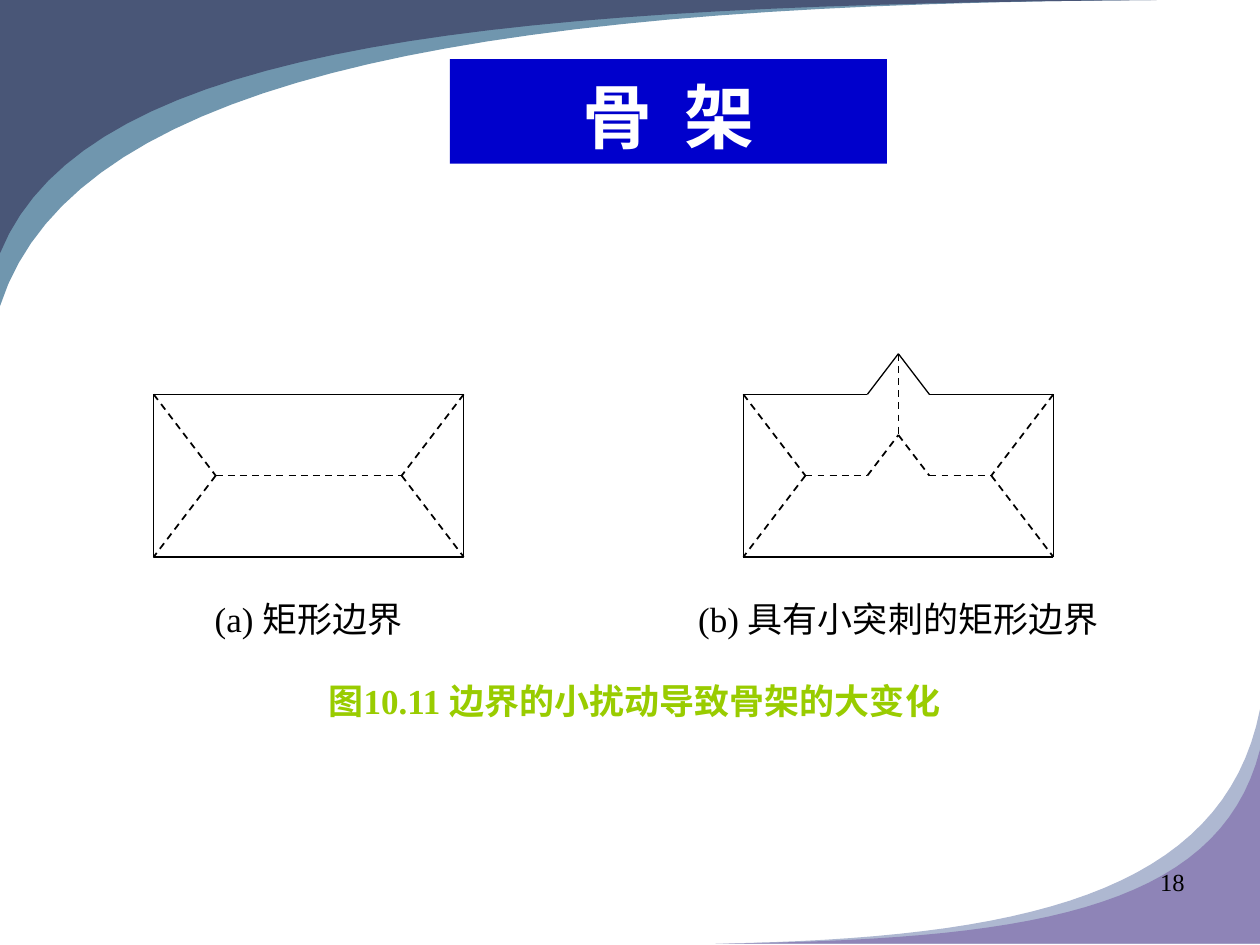
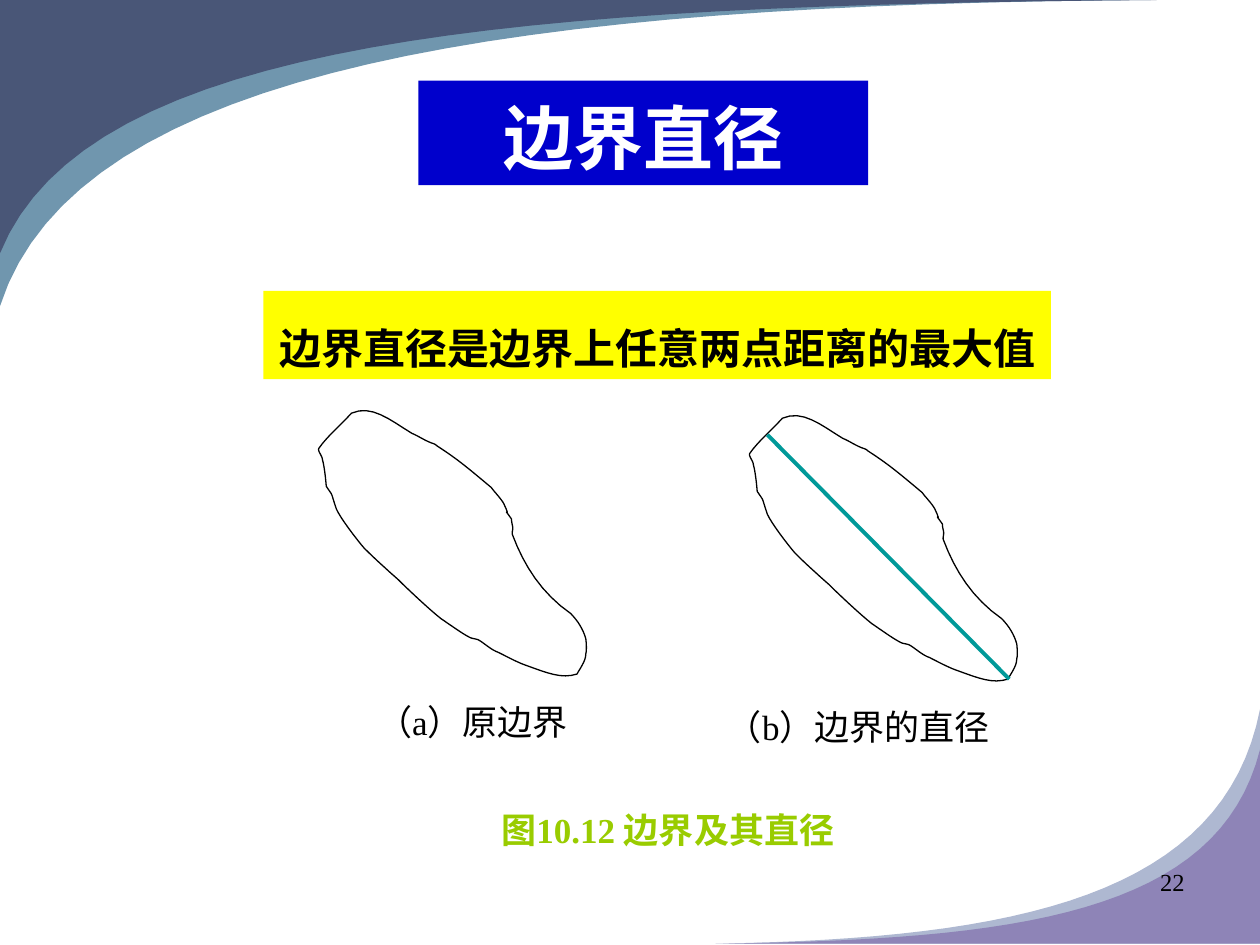
from lxml import etree
from pptx import Presentation
from pptx.dml.color import RGBColor
from pptx.enum import dml, shapes, text
from pptx.oxml.ns import qn
from pptx.util import Inches, Pt

SERIF, SANS, CJK = "Times New Roman", "Karla", "Noto Sans CJK SC"
BLACK, WHITE, BLUE, YELLOW = "000000", "FFFFFF", "0000CC", "FFFF00"
LIME, TEAL = "99CC00", "009999"
LEFT, MID, RIGHT = text.PP_ALIGN.LEFT, text.PP_ALIGN.CENTER, text.PP_ALIGN.RIGHT

SWEEPS = [
    ("7096AE", (0, 0), [(0, 2.43), (0.61, 0.52), (4.12, 0.03), (9.18, 0)]),
    ("495677", (0, 0), [(0, 2.01), (0.69, 0.3), (4.09, 0.04), (9.18, 0)]),
    ("AEB8D1", (10, 7.49), [(10, 5.63), (9.71, 7.11), (8.08, 7.45), (5.68, 7.49)]),
    ("8E84B7", (10, 7.49), [(10, 5.95), (9.67, 7.26), (8.07, 7.46), (5.68, 7.49)]),
]

BLOB = [
    (4.53, 4.87), (4.3, 4.71), (4.16, 4.49), (4.07, 4.25),
    (4.06, 4.23), (4.07, 4.22), (4.07, 4.19), (4.07, 4.17), (4.06, 4.15), (4.06, 4.12),
    (3.97, 3.99), (4.07, 4.15), (4, 4), (3.98, 3.96), (3.92, 3.9), (3.9, 3.87),
    (3.72, 3.72), (3.64, 3.65), (3.47, 3.54), (3.45, 3.52), (3.43, 3.52), (3.41, 3.51),
    (3.36, 3.49), (3.32, 3.46), (3.27, 3.44), (3.09, 3.33), (2.95, 3.21), (2.79, 3.28),
    (2.7, 3.38), (2.6, 3.46), (2.53, 3.56), (2.52, 3.58), (2.56, 3.62), (2.56, 3.65),
    (2.58, 3.72), (2.59, 3.86), (2.59, 3.86), (2.65, 3.95), (2.62, 3.89), (2.67, 4.04),
    (2.7, 4.11), (2.83, 4.28), (2.89, 4.35), (2.98, 4.44), (3.07, 4.52), (3.16, 4.6),
    (3.22, 4.66), (3.41, 4.84), (3.5, 4.91), (3.56, 4.95), (3.67, 5.03), (3.73, 5.06),
    (3.75, 5.07), (3.78, 5.07), (3.8, 5.08), (3.85, 5.11), (3.9, 5.16), (3.96, 5.18),
    (4.04, 5.22), (4.11, 5.26), (4.2, 5.29), (4.34, 5.34), (4.46, 5.39), (4.58, 5.35),
    (4.6, 5.31), (4.65, 5.25), (4.65, 5.19), (4.66, 5.15), (4.65, 5.07), (4.65, 5.07),
    (4.63, 5), (4.59, 4.93), (4.53, 4.87),
]


def rgb(code):
    return RGBColor.from_string(code)


def curve(points, steps):
    out = [points[0]]
    for i in range(0, len(points) - 1, 3):
        knots = points[i:i + 4]
        for n in range(1, steps + 1):
            t = n / steps
            parts = ((1 - t) ** 3, 3 * t * (1 - t) ** 2, 3 * t * t * (1 - t), t ** 3)
            out.append(tuple(sum(p * k[axis] for p, k in zip(parts, knots)) for axis in (0, 1)))
    return out


def write(frame, words, size=20, font=SERIF, color=BLACK, bold=False, align=MID,
          anchor=text.MSO_ANCHOR.TOP, inset=(0, 0), gap=None, wrap=True):
    frame.word_wrap = wrap
    frame.vertical_anchor = anchor
    frame.margin_left = frame.margin_right = Inches(inset[0])
    frame.margin_top = frame.margin_bottom = Inches(inset[1])
    para = frame.paragraphs[0]
    para.alignment = align
    para.line_spacing = gap
    run = para.add_run()
    run.text = words
    run.font.name, run.font.size, run.font.bold = font, Pt(size), bold
    run.font.color.rgb = rgb(color)
    east = etree.SubElement(run.font._element, qn("a:ea"))
    east.set("typeface", CJK)


class Deck:
    pad = (0.1, 0.05)

    def __init__(self):
        self.file = Presentation()
        self.file.slide_width, self.file.slide_height = Inches(10), Inches(7.5)

    def page(self, number):
        self.slide = self.file.slides.add_slide(self.file.slide_layouts[6])
        for color, corner, knots in SWEEPS:
            self.shape(curve(knots, 32) + [corner], color)
        self.label(number, 7.17, 6.83, 2.33, 0.52, size=14, align=RIGHT, inset=self.pad)

    def paint(self, item, fill, line=None):
        item.shadow.inherit = False
        item.fill.solid()
        item.fill.fore_color.rgb = rgb(fill)
        if line:
            item.line.color.rgb = rgb(line)
            item.line.width = Pt(0.75)
        else:
            item.line.fill.background()

    def shape(self, points, fill, line=None):
        spots = [(Inches(x), Inches(y)) for x, y in points]
        pen = self.slide.shapes.build_freeform(*spots[0], scale=1.0)
        pen.add_line_segments(spots[1:], close=True)
        self.paint(pen.convert_to_shape(), fill, line)

    def box(self, x, y, w, h, fill, line=None):
        item = self.slide.shapes.add_shape(
            shapes.MSO_SHAPE.RECTANGLE, Inches(x), Inches(y), Inches(w), Inches(h))
        self.paint(item, fill, line)
        return item.text_frame

    def label(self, words, x, y, w, h, **style):
        item = self.slide.shapes.add_textbox(Inches(x), Inches(y), Inches(w), Inches(h))
        write(item.text_frame, words, **style)

    def title(self, words, x, y, w):
        write(self.box(x, y, w, 0.83, BLUE), words, size=40, font=SANS, color=WHITE,
              bold=True, anchor=text.MSO_ANCHOR.BOTTOM, inset=self.pad)

    def line(self, start, end, color=BLACK, width=0.75, dash=False):
        ends = [Inches(v) for v in (*start, *end)]
        item = self.slide.shapes.add_connector(shapes.MSO_CONNECTOR.STRAIGHT, *ends)
        item.line.color.rgb = rgb(color)
        item.line.width = Pt(width)
        if dash:
            item.line.dash_style = dml.MSO_LINE.DASH
        etree.SubElement(item._element.spPr, qn("a:effectLst"))

    def chain(self, points, **style):
        for start, end in zip(points, points[1:]):
            self.line(start, end, **style)


def bones(deck):
    deck.page("18")
    deck.title("骨  架", 3.57, 0.47, 3.47)
    top, wide, high = 3.13, 2.46, 1.29

    def grid(left, *cells):
        return [(left + wide * col / 10, top + high * row / 4) for col, row in cells]

    def dashes(left, *paths):
        for cells in paths:
            deck.chain(grid(left, *cells), width=1, dash=True)

    ends = [((0, 0), (2, 2), (0, 4)), ((10, 0), (8, 2), (10, 4))]
    deck.box(1.22, top, wide, high, WHITE, BLACK)
    dashes(1.22, *ends, ((2, 2), (8, 2)))

    deck.chain(grid(5.9, (0, 0), (4, 0), (5, -1), (6, 0), (10, 0), (10, 4), (0, 4), (0, 0)))
    dashes(5.9, *ends, ((2, 2), (4, 2), (5, 1), (6, 2), (8, 2)), ((5, -1), (5, 1)))

    deck.label("(a) 矩形边界", 1.22, 4.74, wide, 0.65, inset=(0.02, 0))
    deck.label("(b) 具有小突刺的矩形边界", 5.41, 4.74, 3.44, 0.65, inset=(0.02, 0))
    deck.label("图10.11 边界的小扰动导致骨架的大变化", 1.96, 5.39, 6.15, 0.65,
               color=LIME, bold=True, inset=(0.02, 0))


def span(deck):
    deck.page("22")
    deck.title("边界直径", 3.32, 0.64, 3.57)
    write(deck.box(2.09, 2.31, 6.25, 0.7, YELLOW), "边界直径是边界上任意两点距离的最大值",
          size=24, font=CJK, bold=True, inset=deck.pad, gap=1.5, wrap=False)
    rim = curve(BLOB, 8)
    for dx, dy in ((3.42, 0.04), (0, 0)):
        deck.shape([(x + dx, y + dy) for x, y in rim], WHITE, BLACK)
    deck.line((8.01, 5.39), (6.09, 3.45), color=TEAL, width=2.25)
    write(deck.box(2.58, 5.56, 2.34, 0.48, WHITE), "（a）原边界")
    deck.label("（b）边界的直径", 5.77, 5.6, 2.34, 0.52, align=LEFT)
    write(deck.box(2.71, 6.42, 5.18, 0.52, WHITE), "图10.12 边界及其直径",
          color=LIME, bold=True)


def main():
    deck = Deck()
    bones(deck)
    span(deck)
    deck.file.save("out.pptx")


if __name__ == "__main__":
    main()
